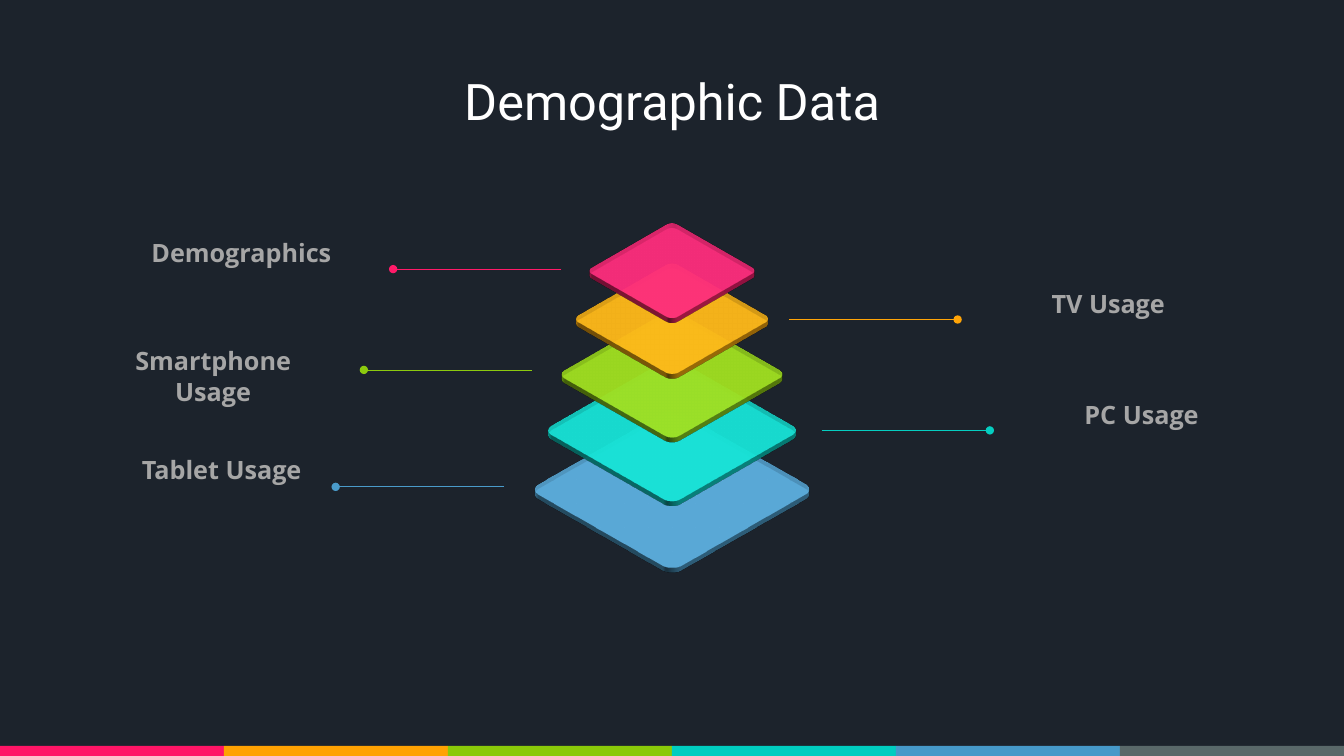
from dataclasses import dataclass

from lxml.etree import SubElement
from pptx import Presentation
from pptx.dml.color import RGBColor
from pptx.enum.shapes import MSO_CONNECTOR, MSO_SHAPE
from pptx.enum.text import MSO_ANCHOR, PP_ALIGN
from pptx.oxml import parse_xml
from pptx.oxml.ns import nsdecls, qn
from pptx.slide import Slide
from pptx.text.text import TextFrame
from pptx.util import Inches, Pt

BACKGROUND = RGBColor(0x1C, 0x23, 0x2C)
WHITE = RGBColor(0xFF, 0xFF, 0xFF)
LABEL_GRAY = RGBColor(0xA6, 0xA6, 0xA6)
PINK = RGBColor(0xFF, 0x1A, 0x69)
ORANGE = RGBColor(0xFF, 0xA4, 0x07)
GREEN = RGBColor(0x8C, 0xCA, 0x0E)
TEAL = RGBColor(0x05, 0xCE, 0xC1)
BLUE = RGBColor(0x4A, 0x9B, 0xCA)
STRIPE_COLORS = (
    RGBColor(0xFF, 0x15, 0x66),
    RGBColor(0xFF, 0xA2, 0x02),
    RGBColor(0x8A, 0xC9, 0x09),
    RGBColor(0x00, 0xCD, 0xC0),
    RGBColor(0x46, 0x99, 0xC9),
    RGBColor(0x59, 0x68, 0x69),
)

PAGE_WIDTH = 13.333
PAGE_HEIGHT = 7.5
STRIPE_HEIGHT = 0.1
LEADER_LENGTH = 1.67
LABEL_WIDTH = 2.43
TILE_DEPTH = Inches(0.06)


@dataclass(frozen=True)
class Layer:
    text: str
    color: RGBColor
    tile_size: float
    tile_top: float
    leader_start: float
    leader_y: float
    direction: int
    label_left: float
    label_top: float
    label_height: float = 0.4
    alignment: PP_ALIGN = PP_ALIGN.CENTER


LAYERS = (
    Layer("Tablet Usage", BLUE, 2.0, 3.85, 5.0, 4.83, -1, 0.66, 4.46,
          alignment=PP_ALIGN.RIGHT),
    Layer("PC Usage", TEAL, 1.8, 3.37, 8.15, 4.27, 1, 10.11, 3.91),
    Layer("Smartphone Usage", GREEN, 1.6, 2.91, 5.28, 3.67, -1, 0.9, 3.38, 0.71),
    Layer("TV Usage", ORANGE, 1.4, 2.46, 7.83, 3.17, 1, 9.78, 2.81),
    Layer("Demographics", PINK, 1.2, 2.08, 5.57, 2.67, -1, 1.18, 2.31),
)


def write_text(frame: TextFrame, text: str, font_name: str, size: int,
               color: RGBColor, bold: bool, alignment: PP_ALIGN) -> None:
    frame.word_wrap = True
    frame.vertical_anchor = MSO_ANCHOR.TOP
    para = frame.paragraphs[0]
    para.text = text
    para.alignment = alignment
    para.font.name = font_name
    para.font.size = Pt(size)
    para.font.bold = bold
    para.font.color.rgb = color


def add_title(page: Slide) -> None:
    title = page.shapes.title
    title.left, title.top = Inches(2.96), Inches(0.65)
    title.width, title.height = Inches(7.42), Inches(0.71)
    write_text(title.text_frame, "Demographic Data", "Roboto", 36, WHITE, False,
               PP_ALIGN.CENTER)


def add_stripes(page: Slide) -> None:
    width = PAGE_WIDTH / len(STRIPE_COLORS)
    for index, color in enumerate(STRIPE_COLORS):
        stripe = page.shapes.add_shape(
            MSO_SHAPE.RECTANGLE, Inches(index * width),
            Inches(PAGE_HEIGHT - STRIPE_HEIGHT), Inches(width), Inches(STRIPE_HEIGHT))
        stripe.shadow.inherit = False
        stripe.fill.solid()
        stripe.fill.fore_color.rgb = color
        stripe.line.fill.background()


def add_tile(page: Slide, layer: Layer) -> None:
    size = Inches(layer.tile_size)
    tile = page.shapes.add_shape(
        MSO_SHAPE.ROUNDED_RECTANGLE, Inches((PAGE_WIDTH - layer.tile_size) / 2),
        Inches(layer.tile_top), size, size)
    tile.adjustments[0] = 0.066
    tile.shadow.inherit = False
    tile.fill.solid()
    tile.fill.fore_color.rgb = layer.color
    tile.line.fill.background()
    properties = tile.element.spPr
    color_node = properties.find(qn("a:solidFill"))[0]
    SubElement(color_node, qn("a:alpha"), val="80000")
    properties.append(parse_xml(
        f'<a:scene3d {nsdecls("a")}><a:camera prst="isometricTopUp"/>'
        '<a:lightRig rig="threePt" dir="t"/></a:scene3d>'))
    properties.append(parse_xml(
        f'<a:sp3d {nsdecls("a")} extrusionH="{TILE_DEPTH}"/>'))


def add_leader(page: Slide, layer: Layer) -> None:
    end = layer.leader_start + layer.direction * LEADER_LENGTH
    leader = page.shapes.add_connector(
        MSO_CONNECTOR.STRAIGHT, Inches(layer.leader_start), Inches(layer.leader_y),
        Inches(end), Inches(layer.leader_y))
    leader.line.color.rgb = layer.color
    leader.line.width = Pt(0.5)
    SubElement(leader.line._get_or_add_ln(), qn("a:tailEnd"), type="oval")
    SubElement(leader.element.spPr, qn("a:effectLst"))


def add_label(page: Slide, layer: Layer) -> None:
    box = page.shapes.add_textbox(
        Inches(layer.label_left), Inches(layer.label_top),
        Inches(LABEL_WIDTH), Inches(layer.label_height))
    write_text(box.text_frame, layer.text, "Open Sans", 18, LABEL_GRAY, True,
               layer.alignment)


def main() -> None:
    deck = Presentation()
    deck.slide_width, deck.slide_height = Inches(PAGE_WIDTH), Inches(PAGE_HEIGHT)
    page = deck.slides.add_slide(deck.slide_layouts[5])
    page.background.fill.solid()
    page.background.fill.fore_color.rgb = BACKGROUND
    add_title(page)
    add_stripes(page)
    for draw in (add_tile, add_leader, add_label):
        for layer in LAYERS:
            draw(page, layer)
    deck.save("out.pptx")


if __name__ == "__main__":
    main()
